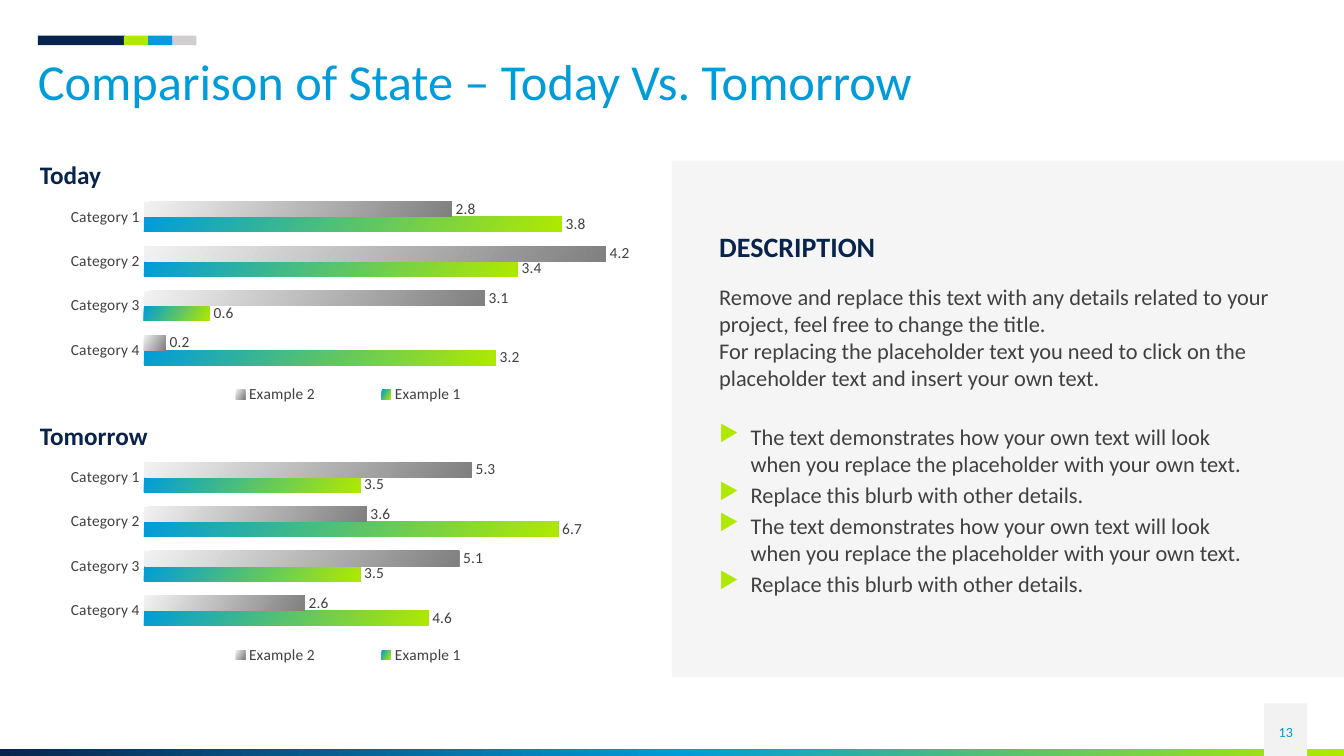
from lxml import etree
from pptx import Presentation
from pptx import util as u
from pptx.chart.data import CategoryChartData
from pptx.dml.color import RGBColor
from pptx.enum import chart as ch, shapes, text
from pptx.oxml import parse_xml
from pptx.oxml.ns import nsdecls, qn

PX = 9525  # 96 px to the inch
FONT = "Calibri"
NAVY, BLUE, LIME = "09244C", "009CDA", "B0E900"
INK, PALE, SILVER, WHITE = "404040", "F2F2F2", "D0CECE", "FFFFFF"
CATEGORIES = ["Category 4", "Category 3", "Category 2", "Category 1"]
BAR_GRADIENTS = [[(0, BLUE), (100, LIME)], [(0, PALE), (100, "808080")]]
DESCRIPTION = [
    "Remove and replace this text with any details related to your project, "
    "feel free to change the title.",
    "For replacing the placeholder text you need to click on the placeholder "
    "text and insert your own text.",
]
BULLETS = [
    "The text demonstrates how your own text will look \v"
    "when you replace the placeholder with your own text.",
    "Replace this blurb with other details.",
] * 2


def rgb(code):
    return RGBColor.from_string(code)


def emu(*lengths):
    return [u.Emu(length * PX) for length in lengths]


def set_gradient(fill, owner, stops, angle=0):
    """Fill with (percent, colour) stops; owner is the element holding the fill."""
    fill.gradient()
    gradient = next(owner.iter(qn("a:gradFill")))
    stop_list = gradient.find(qn("a:gsLst"))
    for old in list(stop_list):
        stop_list.remove(old)
    for percent, code in stops:
        stop = etree.SubElement(stop_list, qn("a:gs"), pos=str(percent * 1000))
        etree.SubElement(stop, qn("a:srgbClr"), val=code)
    gradient.find(qn("a:lin")).set("ang", str(angle * 60000))


def add_block(slide, box, fill=None, alpha=None, stops=None):
    block = slide.shapes.add_shape(shapes.MSO_SHAPE.RECTANGLE, *emu(*box))
    block.shadow.inherit = False
    block.line.fill.background()
    if stops:
        set_gradient(block.fill, block._element.spPr, stops)
        return
    block.fill.solid()
    block.fill.fore_color.rgb = rgb(fill)
    if alpha:
        color = next(block._element.spPr.iter(qn("a:srgbClr")))
        etree.SubElement(color, qn("a:alpha"), val=str(alpha * 1000))


def add_bullet(paragraph, indent):
    properties = paragraph._p.get_or_add_pPr()
    properties.set("marL", str(indent * PX))
    properties.set("indent", str(-indent * PX))
    color = etree.SubElement(properties, qn("a:buClr"))
    etree.SubElement(color, qn("a:srgbClr"), val=LIME)
    etree.SubElement(properties, qn("a:buChar"), char="▶")


def write(frame, lines, size, color=INK, bold=False, align=text.PP_ALIGN.LEFT,
          anchor=text.MSO_ANCHOR.TOP, bottom=4, spacing=None, after=0, bullets=False):
    frame.word_wrap = True
    frame.auto_size = text.MSO_AUTO_SIZE.NONE
    frame.vertical_anchor = anchor
    frame.margin_left = frame.margin_top = frame.margin_right = 0
    frame.margin_bottom = u.Emu(bottom * PX)
    for i, line in enumerate(lines):
        paragraph = frame.add_paragraph() if i else frame.paragraphs[0]
        paragraph.text = line
        paragraph.alignment = align
        paragraph.line_spacing = spacing
        paragraph.space_after = u.Pt(after)
        if bullets:
            add_bullet(paragraph, 30)
        for run in paragraph.runs:
            font = run.font
            font.name, font.size, font.bold = FONT, u.Pt(size), bold
            font.color.rgb = rgb(color)
        for line_break in paragraph._p.findall(qn("a:br")):
            etree.SubElement(line_break, qn("a:rPr"), sz=str(size * 100))


def add_text(slide, box, lines, size, **style):
    write(slide.shapes.add_textbox(*emu(*box)).text_frame, lines, size, **style)


def set_layout(part, x, y, w, h, inner=False):
    """Place a chart part by fractions of the chart's size."""
    target = '<c:layoutTarget val="inner"/>' if inner else ""
    sizes = "".join(f'<c:{tag} val="{value}"/>' for tag, value in zip("xywh", (x, y, w, h)))
    layout = parse_xml(
        f'<c:layout {nsdecls("c")}><c:manualLayout>{target}<c:xMode val="edge"/>'
        f'<c:yMode val="edge"/>{sizes}</c:manualLayout></c:layout>')
    for old in part.findall(qn("c:layout")):
        part.remove(old)
    position = part.find(qn("c:legendPos"))
    part.insert(0 if position is None else part.index(position) + 1, layout)


def add_bars(slide, box, series_values, maximum):
    data = CategoryChartData(number_format="General")
    data.categories = CATEGORIES
    for number, values in enumerate(series_values, 1):
        data.add_series(f"Example {number}", values)
    chart = slide.shapes.add_chart(ch.XL_CHART_TYPE.BAR_CLUSTERED, *emu(*box), data).chart
    chart.has_title = False
    chart.font.name, chart.font.size = FONT, u.Pt(11)
    chart.font.color.rgb = rgb(INK)

    chart.has_legend = True
    chart.legend.position = ch.XL_LEGEND_POSITION.TOP
    chart.legend.include_in_layout = False
    set_layout(chart.legend._element, 0.22, 0.85, 0.57, 0.1)
    set_layout(chart._chartSpace.chart.plotArea, 0.17, 0, 0.81, 0.8, inner=True)

    category_axis, value_axis = chart.category_axis, chart.value_axis
    category_axis.major_tick_mark = ch.XL_TICK_MARK.NONE
    category_axis.format.line.color.rgb = rgb(WHITE)
    category_axis.format.line.width = u.Pt(0.5)
    value_axis.visible = False
    value_axis.has_major_gridlines = False
    value_axis.minimum_scale, value_axis.maximum_scale = 0, maximum

    plot = chart.plots[0]
    plot.vary_by_categories = False
    plot.gap_width, plot.overlap = 96, 0
    plot.has_data_labels = True
    plot.data_labels.show_value = True
    plot.data_labels.position = ch.XL_LABEL_POSITION.OUTSIDE_END
    for series, stops in zip(plot.series, BAR_GRADIENTS):
        set_gradient(series.format.fill, series._element, stops, 30)


def add_state(slide, box, heading, series_values, maximum):
    left, top, width, height = box
    add_text(slide, (left, top, width, 33), [heading], 18, color=NAVY, bold=True)
    add_bars(slide, (left, top + 33, width, height - 33), series_values, maximum)


def add_header(slide, box, heading):
    left, top, width, height = box
    for x, w, color in [(0, 83, NAVY), (82, 23, LIME), (128, 23, SILVER), (105, 23, BLUE)]:
        add_block(slide, (left + x, top, w, 9), color)
    title = slide.shapes.title
    title.left, title.top, title.width, title.height = emu(left, top + 20, width, height - 20)
    write(title.text_frame, [heading], 36, color=BLUE, bottom=0, spacing=0.9)


def add_description(slide, box):
    left, top, width, height = box
    add_block(slide, box, "D9D9D9", alpha=25)
    for y, h, lines, size, style in [
        (66, 36, ["DESCRIPTION"], 20, dict(color=NAVY, bold=True)),
        (117, 108, DESCRIPTION, 16, {}),
        (250, 175, BULLETS, 16, dict(after=3, bullets=True)),
    ]:
        add_text(slide, (left + 45, top + y, width - 107, h), lines, size, **style)


def add_footer(slide, box, number):
    left, top, width, height = box
    add_block(slide, (left, top + height - 7, width, 7),
              stops=[(0, NAVY), (51, BLUE), (100, LIME)])
    add_block(slide, (left + width - 76, top, 41, height), PALE)
    add_text(slide, (left + width - 76, top + 8, 41, 38), [number], 10, color=BLUE,
             align=text.PP_ALIGN.CENTER, anchor=text.MSO_ANCHOR.MIDDLE, bottom=0)


def main():
    deck = Presentation()
    deck.slide_width, deck.slide_height = emu(1280, 720)
    slide = deck.slides.add_slide(deck.slide_layouts[5])
    add_footer(slide, (0, 670, 1280, 50), "13")
    add_header(slide, (36, 34, 1210, 73), "Comparison of State – Today Vs. Tomorrow")
    add_description(slide, (640, 153, 640, 492))
    add_state(slide, (38, 152, 582, 245), "Today",
              [(3.2, 0.6, 3.4, 3.8), (0.2, 3.1, 4.2, 2.8)], 4.5)
    add_state(slide, (38, 400, 582, 245), "Tomorrow",
              [(4.6, 3.5, 6.7, 3.5), (2.6, 5.1, 3.6, 5.3)], 8)
    deck.save("out.pptx")


if __name__ == "__main__":
    main()
